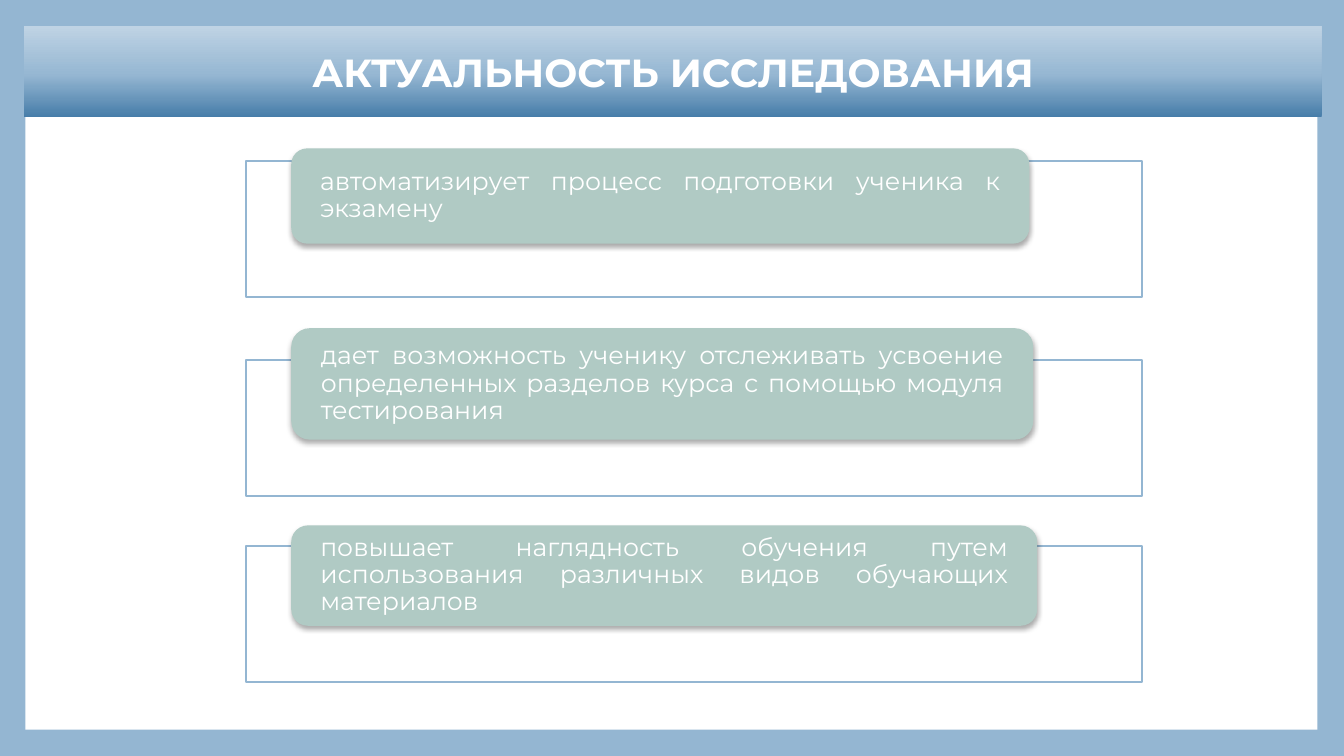
"""Builds the slide on the relevance of the study: a title band and three benefits."""
from copy import deepcopy

from lxml import etree
from pptx import Presentation
from pptx import util as u
from pptx.dml import color as dml
from pptx.enum import shapes, text
from pptx.oxml import ns

TITLE = "АКТУАЛЬНОСТЬ ИССЛЕДОВАНИЯ"
BENEFITS = [
    {"frame_top": 4.06, "top": 3.74, "width": 18.6, "height": 2.4,
     "wording": "автоматизирует процесс подготовки ученика к экзамену"},
    {"frame_top": 9.07, "top": 8.27, "width": 18.7, "height": 2.81,
     "wording": "дает возможность ученику отслеживать усвоение определенных "
                "разделов курса с помощью модуля тестирования"},
    {"frame_top": 13.76, "top": 13.24, "width": 18.8, "height": 2.53,
     "wording": "повышает наглядность обучения путем использования "
                "различных видов обучающих материалов"},
]
FRAME_LEFT, FRAME_WIDTH, FRAME_HEIGHT = 6.2, 22.58, 3.43
CARD_LEFT = 7.34
BLUE, GREEN, WHITE = "94B6D2", "B0CAC4", "FFFFFF"
BAND_STOPS = [(0, "477DA9"), (0.48, "97B8D3"), (1, "BFD3E4")]
TITLE_FONT = {"name": "Montserrat", "size": u.Pt(28), "bold": True}
CARD_FONT = {"name": "Montserrat", "size": u.Pt(18), "bold": False}
TITLE_PARAGRAPH = {"alignment": text.PP_ALIGN.CENTER}
CARD_PARAGRAPH = {"alignment": text.PP_ALIGN.JUSTIFY, "line_spacing": 0.9}
CARD_MARGINS = {"margin_left": u.Cm(0.61), "margin_right": u.Cm(0.61),
                "margin_top": 0, "margin_bottom": 0}


def paint(target, hex_color):
    target.rgb = dml.RGBColor.from_string(hex_color)


def apply(target, values):
    for name, value in values.items():
        setattr(target, name, value)


def add_element(parent, tag, **attributes):
    return etree.SubElement(parent, ns.qn(tag), attributes)


def add_block(slide, kind, box, fill, line=None):
    block = slide.shapes.add_shape(kind, *map(u.Cm, box))
    block.shadow.inherit = False
    block.fill.solid()
    paint(block.fill.fore_color, fill)
    if line:
        block.line.width = u.Pt(1.5)
        paint(block.line.color, line)
    else:
        block.line.fill.background()
    return block


def write(block, wording, font, paragraph_format, margins):
    frame = block.text_frame
    apply(frame, {"word_wrap": True, "vertical_anchor": text.MSO_ANCHOR.MIDDLE, **margins})
    paragraph = frame.paragraphs[0]
    apply(paragraph, paragraph_format)
    run = paragraph.add_run()
    run.text = wording
    apply(run.font, font)
    paint(run.font.color, WHITE)


def shade(band):
    band.fill.gradient()
    band.fill.gradient_angle = 90
    stop_list = band.fill._xPr.find(".//" + ns.qn("a:gsLst"))
    stop_list.append(deepcopy(stop_list[0]))
    for stop, (position, hex_color) in zip(band.fill.gradient_stops, BAND_STOPS):
        stop.position = position
        paint(stop.color, hex_color)


def cast_shadow(card):
    effects = card._element.spPr.find(ns.qn("a:effectLst"))
    shadow = add_element(effects, "a:outerShdw", blurRad=str(u.Pt(3.5)),
                         dist=str(u.Pt(2.2)), dir="5400000", rotWithShape="0")
    black = add_element(shadow, "a:srgbClr", val="000000")
    add_element(black, "a:alpha", val="32000")


def main():
    deck = Presentation()
    apply(deck, {"slide_width": u.Cm(33.87), "slide_height": u.Cm(19.05)})
    slide = deck.slides.add_slide(deck.slide_layouts[6])
    slide.background.fill.solid()
    paint(slide.background.fill.fore_color, BLUE)

    rectangle = shapes.MSO_SHAPE.RECTANGLE
    add_block(slide, rectangle, (0.64, 0.69, 32.56, 17.7), WHITE)
    band = add_block(slide, rectangle, (0.61, 0.66, 32.7, 2.29), BLUE)
    shade(band)
    write(band, TITLE, TITLE_FONT, TITLE_PARAGRAPH, {})

    for benefit in BENEFITS:
        frame_box = (FRAME_LEFT, benefit["frame_top"], FRAME_WIDTH, FRAME_HEIGHT)
        frame = add_block(slide, rectangle, frame_box, WHITE, BLUE)
        add_element(frame.fill._xPr.find(".//" + ns.qn("a:srgbClr")), "a:alpha", val="90000")
        card_box = (CARD_LEFT, benefit["top"], benefit["width"], benefit["height"])
        card = add_block(slide, shapes.MSO_SHAPE.ROUNDED_RECTANGLE, card_box, GREEN)
        cast_shadow(card)
        write(card, benefit["wording"], CARD_FONT, CARD_PARAGRAPH, CARD_MARGINS)

    deck.save("out.pptx")


if __name__ == "__main__":
    main()
